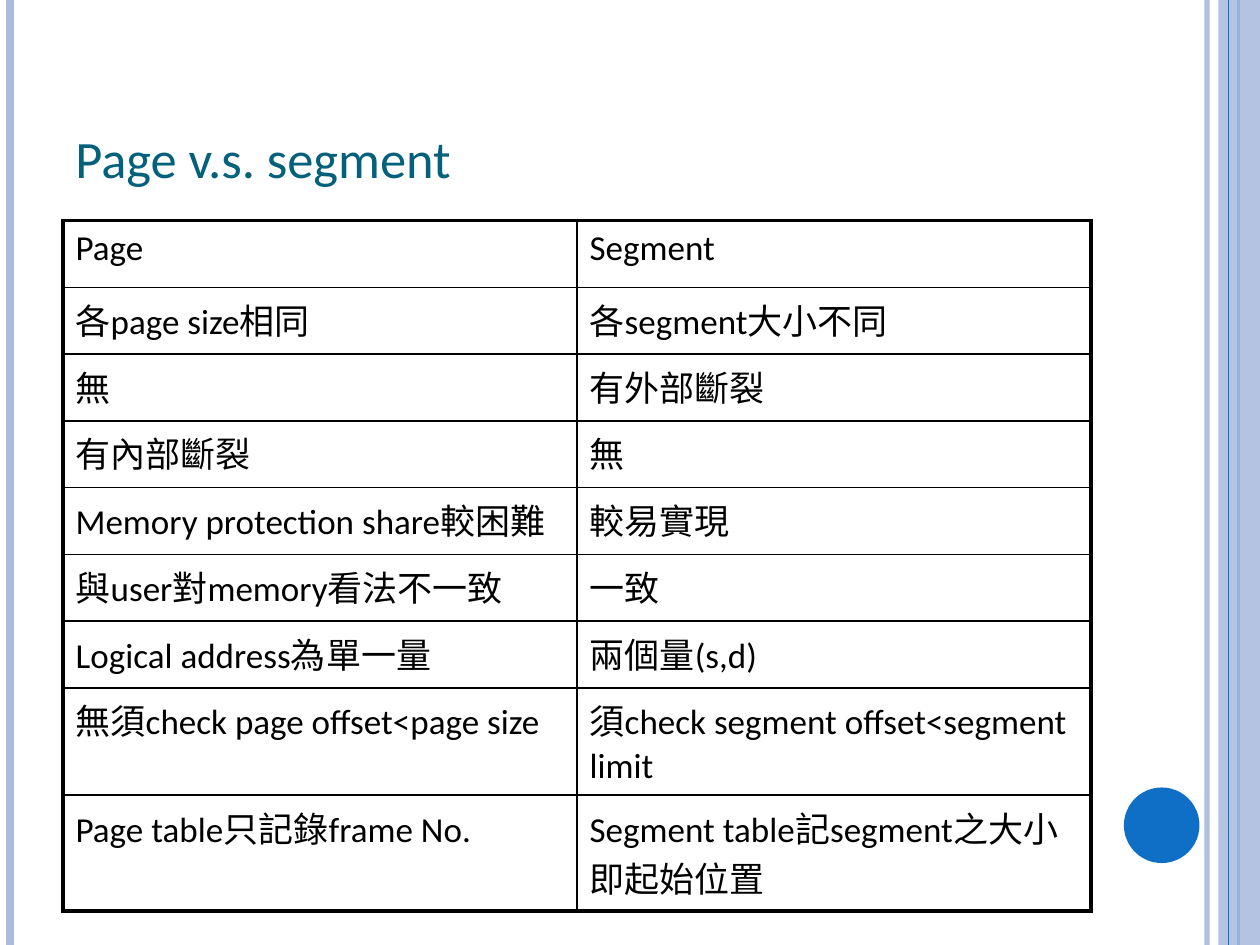
from dataclasses import dataclass

from lxml.etree import SubElement
from pptx import Presentation
from pptx.dml.color import RGBColor
from pptx.enum.shapes import MSO_CONNECTOR, MSO_SHAPE
from pptx.enum.text import MSO_ANCHOR
from pptx.oxml import parse_xml
from pptx.oxml.ns import nsdecls, qn
from pptx.util import Inches, Pt


@dataclass(frozen=True)
class Theme:
    font: str = "Calibri"
    title_size: float = 30
    body_size: float = 20
    title: str = "04617B"
    text: str = "000000"
    accent: str = "0F6FC6"
    pale: str = "AABBDF"
    outer_border: float = 2.25
    inner_border: float = 1


@dataclass(frozen=True)
class Stripe:
    x: float
    color: str
    width: float
    opacity: int = 100


@dataclass(frozen=True)
class Panel:
    kind: MSO_SHAPE
    left: float
    top: float
    width: float
    height: float
    color: str
    opacity: int = 100


THEME = Theme()
PAGE_WIDTH, PAGE_HEIGHT = 10, 7.5
COLUMN_WIDTH = 4.08
ROW_HEIGHT = 0.53
TALL_ROW_HEIGHTS = {7: 0.85, 8: 0.92}

DECORATIONS = [
    Stripe(9.58, THEME.pale, 3, 93),
    Stripe(0.08, THEME.pale, 4.5),
    Stripe(9.83, THEME.accent, 1.5),
    Panel(MSO_SHAPE.RECTANGLE, 9.67, 0, 0.33, PAGE_HEIGHT, THEME.pale, 87),
    Stripe(9.75, THEME.accent, 0.75),
    Panel(MSO_SHAPE.OVAL, 8.92, 6.25, 0.6, 0.6, THEME.accent),
]

COMPARISON = [
    ("Page", "Segment"),
    ("各page size相同", "各segment大小不同"),
    ("無", "有外部斷裂"),
    ("有內部斷裂", "無"),
    ("Memory protection share較困難", "較易實現"),
    ("與user對memory看法不一致", "一致"),
    ("Logical address為單一量", "兩個量(s,d)"),
    ("無須check page offset<page size", "須check segment offset<segment limit"),
    ("Page table只記錄frame No.", "Segment table記segment之大小即起始位置"),
]


def set_opacity(element, opacity: int) -> None:
    if opacity < 100:
        color = next(element.iter(qn("a:srgbClr")))
        SubElement(color, qn("a:alpha")).set("val", str(opacity * 1000))


def draw_stripe(page, stripe: Stripe) -> None:
    x = Inches(stripe.x)
    line = page.shapes.add_connector(MSO_CONNECTOR.STRAIGHT, x, 0, x, Inches(PAGE_HEIGHT))
    line.line.color.rgb = RGBColor.from_string(stripe.color)
    line.line.width = Pt(stripe.width)
    properties = line._element.spPr
    set_opacity(properties, stripe.opacity)
    SubElement(properties, qn("a:effectLst"))


def draw_panel(page, panel: Panel) -> None:
    shape = page.shapes.add_shape(
        panel.kind, Inches(panel.left), Inches(panel.top), Inches(panel.width), Inches(panel.height)
    )
    shape.shadow.inherit = False
    shape.fill.solid()
    shape.fill.fore_color.rgb = RGBColor.from_string(panel.color)
    shape.line.fill.background()
    set_opacity(shape._element.spPr, panel.opacity)


def add_span(para, text: str, size: float, color: str) -> None:
    span = para.add_run()
    span.text = text
    span.font.name = THEME.font
    span.font.size = Pt(size)
    span.font.color.rgb = RGBColor.from_string(color)


def draw_title(page, text: str) -> None:
    box = page.shapes.add_textbox(Inches(0.5), Inches(0.3), Inches(8.17), Inches(1.25))
    box.text_frame.word_wrap = True
    box.text_frame.vertical_anchor = MSO_ANCHOR.BOTTOM
    add_span(box.text_frame.paragraphs[0], text, THEME.title_size, THEME.title)


def set_borders(cell, outer_sides: dict[str, bool]) -> None:
    properties = cell._tc.get_or_add_tcPr()
    for position, (side, is_outer) in enumerate(outer_sides.items()):
        width = Pt(THEME.outer_border if is_outer else THEME.inner_border)
        border = parse_xml(
            f'<a:ln{side} {nsdecls("a")} w="{width}"><a:solidFill>'
            f'<a:srgbClr val="{THEME.text}"/></a:solidFill></a:ln{side}>'
        )
        properties.insert(position, border)


def draw_table(page, rows: list[tuple[str, str]]) -> None:
    heights = [TALL_ROW_HEIGHTS.get(i, ROW_HEIGHT) for i in range(len(rows))]
    column_count = len(rows[0])
    table = page.shapes.add_table(
        len(rows), column_count, Inches(0.5), Inches(1.75),
        Inches(COLUMN_WIDTH * column_count), Inches(sum(heights)),
    ).table
    table.first_row = False
    table.horz_banding = False
    for column in table.columns:
        column.width = Inches(COLUMN_WIDTH)
    for i, row in enumerate(rows):
        table.rows[i].height = Inches(heights[i])
        for j, text in enumerate(row):
            cell = table.cell(i, j)
            cell.fill.background()
            add_span(cell.text_frame.paragraphs[0], text, THEME.body_size, THEME.text)
            set_borders(cell, {
                "L": j == 0,
                "R": j == column_count - 1,
                "T": i == 0,
                "B": i == len(rows) - 1,
            })


def main() -> None:
    deck = Presentation()
    deck.slide_width = Inches(PAGE_WIDTH)
    deck.slide_height = Inches(PAGE_HEIGHT)
    page = deck.slides.add_slide(deck.slide_layouts[6])
    for item in DECORATIONS:
        if isinstance(item, Stripe):
            draw_stripe(page, item)
        else:
            draw_panel(page, item)
    draw_title(page, "Page v.s. segment")
    draw_table(page, COMPARISON)
    deck.save("out.pptx")


if __name__ == "__main__":
    main()
